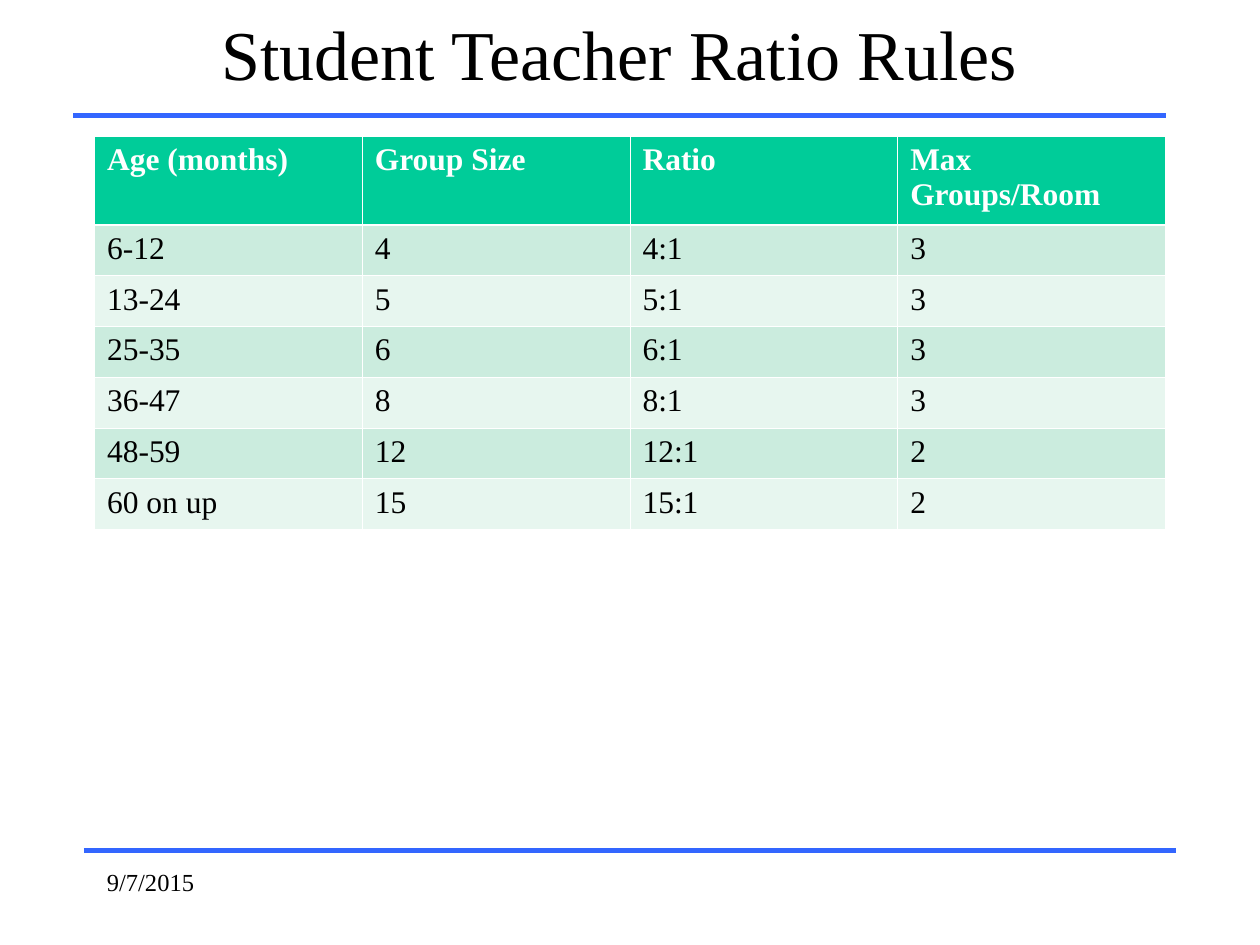
from pptx import Presentation
from pptx.dml.color import RGBColor as RGB
from pptx.enum.shapes import MSO_CONNECTOR as CONN
from pptx.enum.text import MSO_ANCHOR as ANCHOR, PP_ALIGN as ALIGN
from pptx.oxml.ns import qn
from pptx.util import Pt
from lxml.etree import SubElement

PX = 6350  # EMU per px, 144 px to the inch
FONT = "Times New Roman"
BLACK = RGB(0x00, 0x00, 0x00)
WHITE = RGB(0xFF, 0xFF, 0xFF)
BLUE = RGB(0x33, 0x66, 0xFF)
GREEN = RGB(0x00, 0xCC, 0x99)
BANDS = RGB(0xCB, 0xEC, 0xDE), RGB(0xE7, 0xF6, 0xEF)
THIN, THICK = 0.45, 1.47

RATIOS = [
    ("Age (months)", "Group Size", "Ratio", "Max Groups/Room"),
    ("6-12", "4", "4:1", "3"),
    ("13-24", "5", "5:1", "3"),
    ("25-35", "6", "6:1", "3"),
    ("36-47", "8", "8:1", "3"),
    ("48-59", "12", "12:1", "2"),
    ("60 on up", "15", "15:1", "2"),
]


def px(*lengths):
    return [n * PX for n in lengths]


class Deck:
    def __init__(self, width, height):
        self.prs = Presentation()
        self.prs.slide_width, self.prs.slide_height = px(width, height)
        self.s = self.prs.slides.add_slide(self.prs.slide_layouts[5])

    def set_text(self, tf, text, size, color=BLACK, bold=False, align=ALIGN.LEFT):
        tf.word_wrap = True
        p = tf.paragraphs[0]
        p.text, p.alignment = text, align
        f = p.font
        f.name, f.size, f.bold = FONT, Pt(size), bold
        f.color.rgb = color

    def title(self, text, box, size):
        sp = self.s.shapes.title
        sp.left, sp.top, sp.width, sp.height = px(*box)
        sp.text_frame.vertical_anchor = ANCHOR.MIDDLE
        self.set_text(sp.text_frame, text, size, align=ALIGN.CENTER)

    def text(self, text, box, size):
        sp = self.s.shapes.add_textbox(*px(*box))
        self.set_text(sp.text_frame, text, size)

    def rule(self, x, y, width):
        ln = self.s.shapes.add_connector(CONN.STRAIGHT, *px(x, y, x + width, y))
        ln.line.color.rgb, ln.line.width = BLUE, Pt(3)
        SubElement(ln._element.spPr, qn("a:effectLst"))

    def borders(self, cell, top, bottom):
        tc_pr = cell._tc.get_or_add_tcPr()
        sides = {"L": THIN, "R": THIN, "T": top, "B": bottom}
        for side, width in sides.items():
            ln = SubElement(tc_pr, qn(f"a:ln{side}"), w=str(int(Pt(width))))
            fill = SubElement(ln, qn("a:solidFill"))
            SubElement(fill, qn("a:srgbClr"), val=str(WHITE))

    def table(self, rows, x, y, col_width, header_height, row_height, size):
        heights = [header_height] + [row_height] * (len(rows) - 1)
        n = len(rows[0])
        frame = self.s.shapes.add_table(
            len(rows), n, *px(x, y, n * col_width, sum(heights)))
        table = frame.table
        for col in table.columns:
            col.width = col_width * PX
        for i, values in enumerate(rows):
            table.rows[i].height = heights[i] * PX
            header = i == 0
            for cell, value in zip(table.rows[i].cells, values):
                self.borders(cell, THICK if i == 1 else THIN,
                             THICK if header else THIN)
                cell.fill.solid()
                cell.fill.fore_color.rgb = GREEN if header else BANDS[(i - 1) % 2]
                self.set_text(cell.text_frame, value, size,
                              WHITE if header else BLACK, header)


def main():
    deck = Deck(1440, 1080)
    deck.rule(96, 972, 1248)
    deck.rule(84, 132, 1248)
    deck.title("Student Teacher Ratio Rules", (84, 0, 1248, 120), 40)
    deck.table(RATIOS, 108, 156, col_width=306, header_height=101,
               row_height=58, size=18)
    deck.text("9/7/2015", (108, 984, 300, 72), 14)
    deck.prs.save("out.pptx")


if __name__ == "__main__":
    main()
